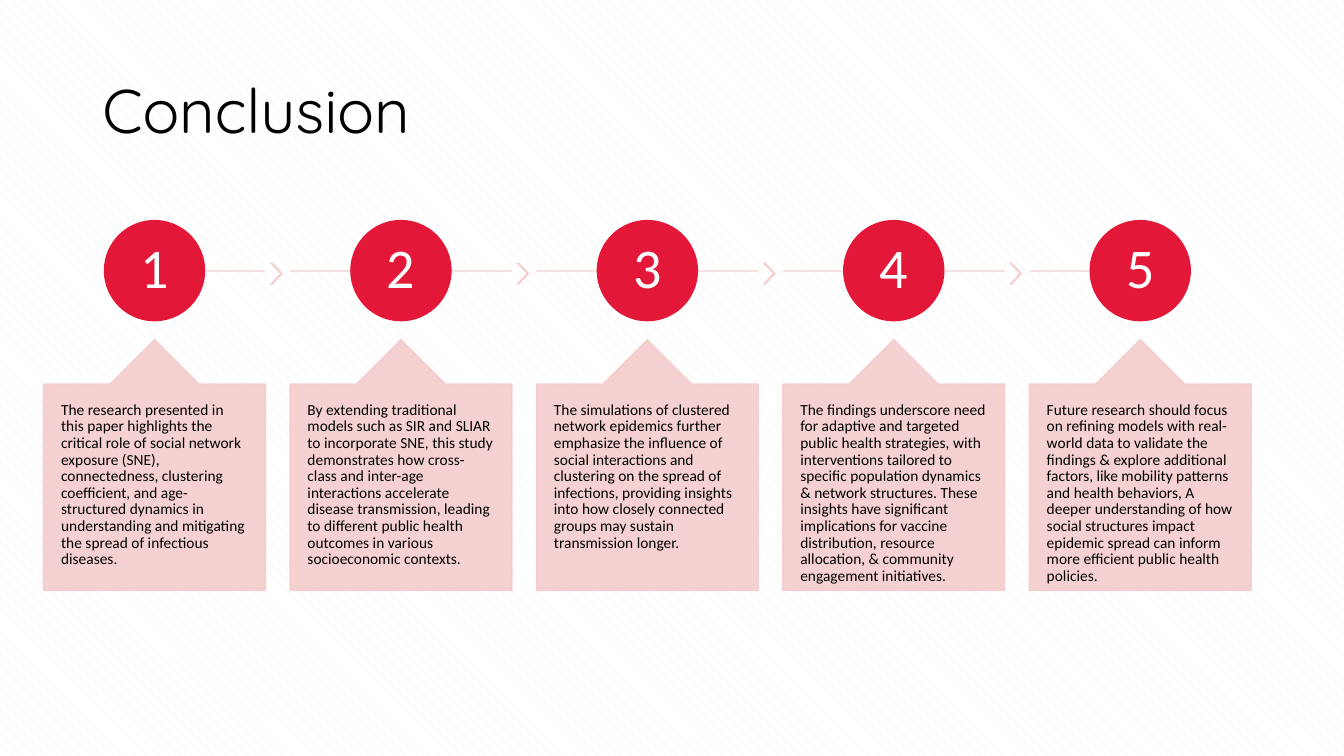
"""Build the conclusion slide: five numbered steps above five callout cards."""
from lxml.etree import SubElement
from pptx import Presentation
from pptx.dml.color import RGBColor
from pptx.enum.dml import MSO_PATTERN
from pptx.enum.shapes import MSO_CONNECTOR, MSO_SHAPE
from pptx.enum.text import MSO_ANCHOR, MSO_AUTO_SIZE, PP_ALIGN
from pptx.oxml.ns import qn
from pptx.util import Cm, Pt

RED, PINK, BLACK, WHITE = "E31737", "F4CCCE", "000000", "FFFFFF"
LEFT, PITCH, CARD_WIDTH, GAP_START = 1.1, 6.21, 5.59, 5.73
CARD_TOP, CARD_HEIGHT = 8.56, 6.32
CIRCLE_TOP, CIRCLE_SIZE = 5.56, 2.52
LINE_Y = 6.83
STEPS = [
    "The research presented in this paper highlights the critical role of social network exposure (SNE), "
    "connectedness, clustering coefficient, and age-structured dynamics in understanding and mitigating "
    "the spread of infectious diseases.",
    "By extending traditional models such as SIR and SLIAR to incorporate SNE, this study demonstrates how "
    "cross-class and inter-age interactions accelerate disease transmission, leading to different public "
    "health outcomes in various socioeconomic contexts.",
    "The simulations of clustered network epidemics further emphasize the influence of social interactions "
    "and clustering on the spread of infections, providing insights into how closely connected groups may "
    "sustain transmission longer.",
    "The findings underscore need for adaptive and targeted public health strategies, with interventions "
    "tailored to specific population dynamics & network structures. These insights have significant "
    "implications for vaccine distribution, resource allocation, & community engagement initiatives.",
    "Future research should focus on refining models with real-world data to validate the findings & explore "
    "additional factors, like mobility patterns and health behaviors, A deeper understanding of how social "
    "structures impact epidemic spread can inform more efficient public health policies.",
]


def rgb(code):
    return RGBColor.from_string(code)


def write(shape, text, font, size, color, align, anchor, inset_x, inset_y):
    frame = shape.text_frame
    frame.word_wrap = True
    frame.auto_size = MSO_AUTO_SIZE.NONE
    frame.vertical_anchor = anchor
    frame.margin_left = frame.margin_right = Cm(inset_x)
    frame.margin_top = frame.margin_bottom = Cm(inset_y)
    para = frame.paragraphs[0]
    para.alignment = align
    para.line_spacing = 0.9
    span = para.add_run()
    span.text = text
    span.font.name = font
    span.font.size = Pt(size)
    span.font.color.rgb = rgb(color)


deck = Presentation()
deck.slide_width, deck.slide_height = Cm(33.87), Cm(19.05)
page = deck.slides.add_slide(deck.slide_layouts[5])
backdrop = page.background.fill
backdrop.patterned()
backdrop.pattern = MSO_PATTERN.SHINGLE
backdrop.fore_color.rgb = rgb("F2F2F2")
backdrop.back_color.rgb = rgb(WHITE)

title = page.shapes.title
title.left, title.top, title.width, title.height = Cm(2.33), Cm(1.01), Cm(29.21), Cm(3.68)
write(title, "Conclusion", "Quicksand", 44, BLACK, PP_ALIGN.LEFT, MSO_ANCHOR.MIDDLE, 0.25, 0.13)

for index, text in enumerate(STEPS):
    card_left = LEFT + index * PITCH
    center = card_left + CARD_WIDTH / 2
    is_last = index == len(STEPS) - 1

    line_start = center if index == 0 else card_left
    line_end = center if is_last else card_left + CARD_WIDTH
    line = page.shapes.add_connector(
        MSO_CONNECTOR.STRAIGHT, Cm(line_start), Cm(LINE_Y), Cm(line_end), Cm(LINE_Y))

    circle_left = center - CIRCLE_SIZE / 2
    parts = [(MSO_SHAPE.OVAL, circle_left, CIRCLE_TOP, CIRCLE_SIZE, CIRCLE_SIZE, RED, []),
             (MSO_SHAPE.UP_ARROW_CALLOUT, card_left, CARD_TOP, CARD_WIDTH, CARD_HEIGHT, PINK,
              [0.5, 0.2, 0.2, 1])]
    if not is_last:
        parts.insert(0, (MSO_SHAPE.CHEVRON, card_left + GAP_START, 6.63, 0.28, 0.53, PINK, [0.9]))

    drawn = []
    for kind, left, top, width, height, color, adjustments in parts:
        shape = page.shapes.add_shape(kind, Cm(left), Cm(top), Cm(width), Cm(height))
        for position, value in enumerate(adjustments):
            shape.adjustments[position] = value
        shape.shadow.inherit = False
        shape.fill.solid()
        shape.fill.fore_color.rgb = rgb(color)
        shape.line.color.rgb = rgb(color)
        shape.line.width = Pt(1)
        drawn.append(shape)
    circle, card = drawn[-2:]

    line.line.color.rgb = rgb(PINK)
    line.line.width = Pt(1)
    SubElement(line.element.spPr, qn("a:effectLst"))
    for shape in [line] + drawn:
        for paint in shape.element.spPr.iter(qn("a:srgbClr")):
            if paint.get("val") == PINK:
                SubElement(paint, qn("a:alpha")).set("val", "90000")

    write(circle, str(index + 1), "Calibri", 40, WHITE, PP_ALIGN.CENTER, MSO_ANCHOR.MIDDLE, 0.1, 0.1)
    write(card, text, "Calibri", 11, BLACK, PP_ALIGN.LEFT, MSO_ANCHOR.TOP, 0.44, 0.45)

deck.save("out.pptx")
